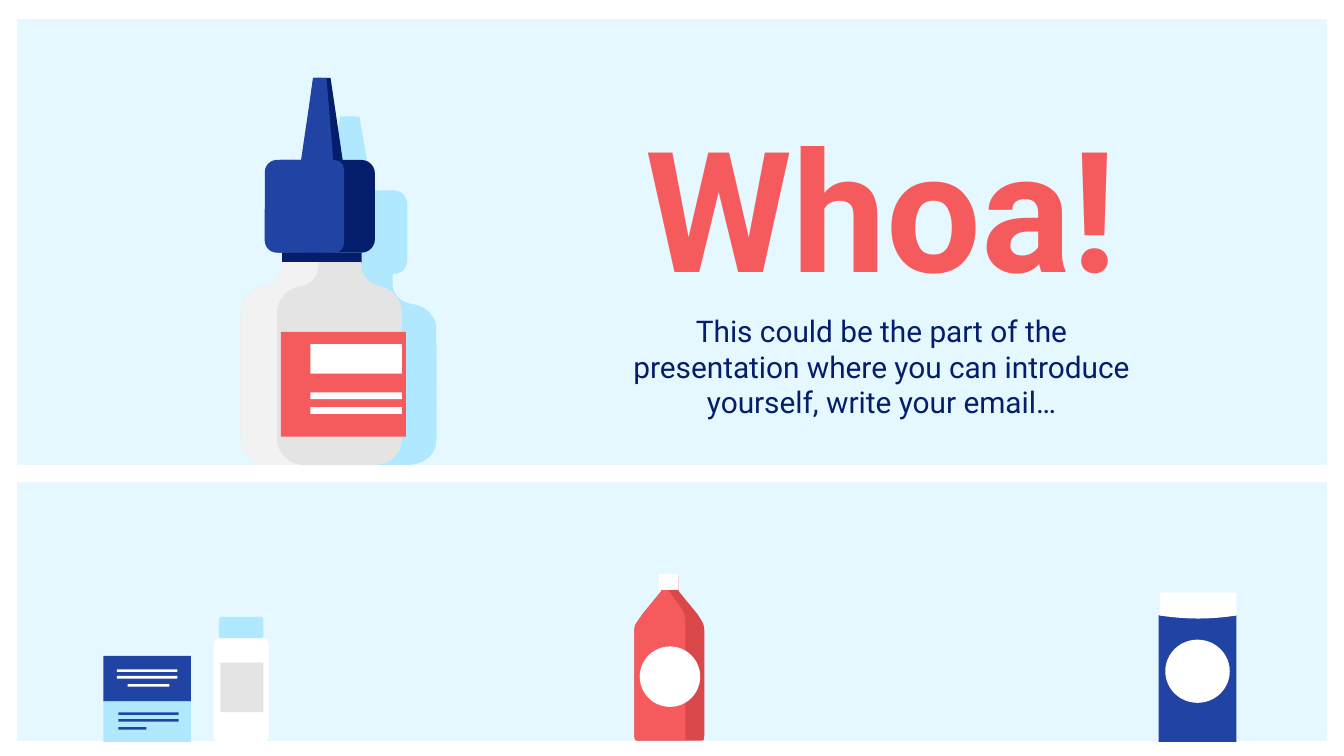
from pptx import Presentation
from pptx.dml.color import RGBColor
from pptx.enum.shapes import MSO_SHAPE as SHAPE
from pptx.enum.text import MSO_ANCHOR, PP_ALIGN
from pptx.util import Inches, Pt

C = {"bg": "E5F8FF", "white": "FFFFFF", "sky": "B0E8FF", "blue": "2143A3",
     "navy": "051E6B", "red": "F55B5D", "dark_red": "D94749",
     "grey": "E4E4E4", "light": "F2F2F2"}

prs = Presentation()
prs.slide_width = Inches(10)
prs.slide_height = Inches(10) * 9 // 16
s = prs.slides.add_slide(prs.slide_layouts[6])
s.background.fill.solid()
s.background.fill.fore_color.rgb = RGBColor.from_string(C["bg"])


def draw(color, *pts, kind=None, radius=0, fit=lambda x, y: (x, y)):
    """Preset from two corners, or an outline of points (x, y) and cubic curves (6 numbers)."""
    if kind:
        (x1, y1), (x2, y2) = fit(*pts[0]), fit(*pts[1])
        sp = s.shapes.add_shape(kind, Inches(x1), Inches(y1), Inches(x2 - x1), Inches(y2 - y1))
        if radius:
            sp.adjustments[0] = radius / min(x2 - x1, y2 - y1)
    else:
        line = [pts[0]]
        for p in pts[1:]:
            if len(p) == 2:
                line.append(p)
                continue
            ctrl = [line[-1], p[:2], p[2:4], p[4:]]
            for t in (i / 12 for i in range(1, 13)):
                w = ((1 - t) ** 3, 3 * t * (1 - t) ** 2, 3 * t * t * (1 - t), t ** 3)
                line.append(tuple(sum(k * c[a] for k, c in zip(w, ctrl)) for a in (0, 1)))
        line = [tuple(Inches(v) for v in fit(*p)) for p in line]
        fb = s.shapes.build_freeform(*line[0])
        fb.add_line_segments(line[1:], close=True)
        sp = fb.convert_to_shape()
    sp.shadow.inherit = False
    sp.fill.solid()
    sp.fill.fore_color.rgb = RGBColor.from_string(C[color])
    sp.line.fill.background()
    return sp


def add_text(text, top, height, size, color, bold=False):
    tf = s.shapes.add_textbox(Inches(4.58), Inches(top), Inches(3.96), Inches(height)).text_frame
    tf.word_wrap = True
    tf.vertical_anchor = MSO_ANCHOR.MIDDLE
    tf.margin_left = tf.margin_right = tf.margin_top = tf.margin_bottom = Inches(0.1)
    p = tf.paragraphs[0]
    p.alignment = PP_ALIGN.CENTER
    r = p.add_run()
    r.text = text
    r.font.name, r.font.size, r.font.bold = "Roboto", Pt(size), bold
    r.font.color.rgb = RGBColor.from_string(C[color])


RECT, ROUND, OVAL = SHAPE.RECTANGLE, SHAPE.ROUNDED_RECTANGLE, SHAPE.OVAL

# White frame and divider
frame = draw("white", (0, 0.02), (10, 5.64), kind=RECT)
frame.fill.background()
frame.line.color.rgb = RGBColor.from_string(C["white"])
frame.line.width = Pt(18)

# Blue canister
draw("blue", (8.62, 4.58), (9.2, 5.52), kind=RECT)
draw("white", (8.67, 4.76), (9.15, 5.23), kind=OVAL)
draw("white", (9.2, 4.41), (8.63, 4.41), (8.63, 4.58), (8.82, 4.61, 9.01, 4.61, 9.2, 4.58))

# Pill bottle
draw("sky", (1.63, 4.59), (1.96, 4.75), kind=ROUND, radius=0.02)
draw("white", (1.59, 4.75), (2, 5.52), kind=ROUND, radius=0.04)
draw("grey", (1.64, 4.93), (1.96, 5.3), kind=RECT)

# Red bottle
side = [(4.92, 4.4), (4.78, 4.57), (4.75, 4.62, 4.72, 4.64, 4.72, 4.69),
        (4.72, 5.47), (4.72, 5.52, 4.74, 5.51, 4.78, 5.51)]
draw("dark_red", *side, (5.19, 5.51), (5.23, 5.51, 5.24, 5.52, 5.24, 5.47), (5.24, 4.69),
     (5.24, 4.64, 5.22, 4.62, 5.19, 4.57), (5.05, 4.4), (5.05, 4.29), (4.93, 4.29))
draw("red", *side, (5.1, 5.51), (5.1, 4.63), (5.1, 4.58, 5.08, 4.54, 5.05, 4.5), (4.93, 4.33))
draw("white", (4.9, 4.27), (5.05, 4.39), kind=RECT)
draw("white", (4.76, 4.81), (5.21, 5.26), kind=OVAL)

# Medicine box with printed lines
draw("blue", (0.77, 4.88), (1.42, 5.22), kind=RECT)
draw("sky", (0.77, 5.22), (1.42, 5.52), kind=RECT)
for color, x, y, w in [("white", 0.87, 4.98, 0.45), ("white", 0.87, 5.03, 0.45),
                       ("white", 0.95, 5.09, 0.31), ("blue", 0.88, 5.3, 0.45),
                       ("blue", 0.88, 5.35, 0.45), ("blue", 0.88, 5.41, 0.21)]:
    draw(color, (x, y), (x + w, y + 0.02), kind=RECT)

draw("white", (0, 3.46), (10, 3.59), kind=RECT)

# Title and subtitle
add_text("Whoa!", 0.83, 1.4, 90, "red", bold=True)
add_text("This could be the part of the presentation where you can introduce yourself, "
         "write your email…", 2.24, 0.97, 16, "navy")

# Glue bottle: the same parts make the shadow and the bottle
shoulder = [(2.1, 1.95), (2.1, 1.97), (2.1, 2.05, 2.04, 2.12, 1.96, 2.13),
            (1.86, 2.15, 1.79, 2.23, 1.79, 2.33), (1.79, 3.26),
            (1.79, 3.37, 1.88, 3.46, 1.99, 3.46)]
glue = [
    ("navy", [(1.99, 1.19), (2.79, 1.88)], ROUND, 0.1),
    ("blue", [(1.97, 1.19), (2.46, 1.88)], ROUND, 0.09),
    ("blue", [(2.22, 1.19), (2.56, 1.88)], ROUND, 0.07),
    ("navy", [(2.1, 1.88), (2.69, 1.96)], RECT, 0),
    ("grey", shoulder + [(2.79, 3.46), (2.91, 3.46, 2.99, 3.37, 2.99, 3.26), (2.99, 2.33),
                         (2.99, 2.23, 2.92, 2.15, 2.83, 2.13),
                         (2.75, 2.12, 2.69, 2.05, 2.69, 1.97), (2.69, 1.95)], None, 0),
    ("red", [(2.09, 2.47), (3.02, 3.25)], RECT, 0),
    ("white", [(2.31, 2.56), (2.99, 2.78)], RECT, 0),
    ("white", [(2.31, 3.03), (2.99, 3.08)], RECT, 0),
    ("white", [(2.31, 2.92), (2.99, 2.97)], RECT, 0),
    ("navy", [(2.33, 0.58), (2.25, 1.19), (2.55, 1.19), (2.46, 0.58)], None, 0),
    ("blue", [(2.33, 0.58), (2.24, 1.19), (2.39, 1.19), (2.39, 0.58)], None, 0),
    ("blue", [(2.36, 0.58), (2.31, 1.19), (2.48, 1.19), (2.43, 0.58)], None, 0),
    ("light", shoulder + [(2.26, 3.46), (2.15, 3.46, 2.06, 3.37, 2.06, 3.26), (2.06, 2.33),
                          (2.06, 2.23, 2.13, 2.15, 2.23, 2.13),
                          (2.31, 2.12, 2.37, 2.05, 2.37, 1.97), (2.37, 1.95)], None, 0),
]
for color, pts, kind, radius in glue:
    draw("sky", *pts, kind=kind, radius=radius,
         fit=lambda x, y: (min(3.25, 1.95 + (x - 1.79) * 1.08), 3.46 - (3.46 - y) * 0.9))
for color, pts, kind, radius in glue:
    draw(color, *pts, kind=kind, radius=radius)

prs.save("out.pptx")
